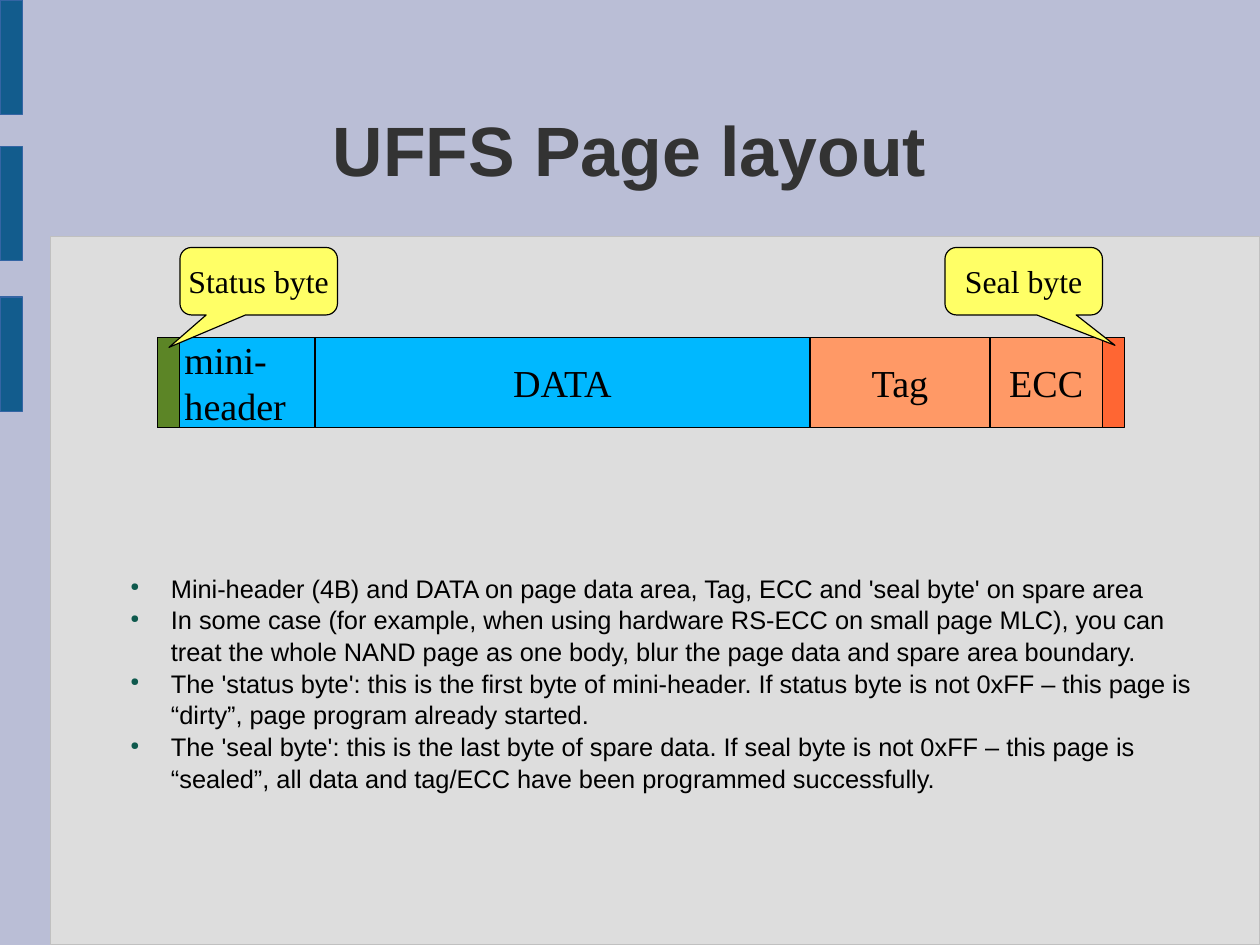
from lxml import etree
from pptx import Presentation
from pptx.dml.color import RGBColor
from pptx.enum import shapes, text
from pptx.oxml import ns
from pptx.util import Cm, Pt

LAVENDER = RGBColor(0xBA, 0xBE, 0xD6)
PANEL = RGBColor(0xDD, 0xDD, 0xDD)
PANEL_EDGE = RGBColor(0xC0, 0xC0, 0xC0)
BAR = RGBColor(0x12, 0x5C, 0x8D)
BAR_EDGE = RGBColor(0x34, 0x65, 0xA4)
BLACK = RGBColor(0, 0, 0)
CHARCOAL = RGBColor(0x33, 0x33, 0x33)
BULLET = RGBColor(0x0E, 0x59, 0x4D)
BLUE = RGBColor(0x00, 0xB8, 0xFF)
ORANGE = RGBColor(0xFF, 0x99, 0x66)
DEEP_ORANGE = RGBColor(0xFF, 0x66, 0x33)
GREEN = RGBColor(0x5C, 0x85, 0x26)
YELLOW = RGBColor(0xFF, 0xFF, 0x66)

RECT = shapes.MSO_SHAPE.RECTANGLE
CALLOUT = shapes.MSO_SHAPE.ROUNDED_RECTANGULAR_CALLOUT
LEFT, CENTER = text.PP_ALIGN.LEFT, text.PP_ALIGN.CENTER
TOP, MIDDLE = text.MSO_ANCHOR.TOP, text.MSO_ANCHOR.MIDDLE

TITLE_FONT = {"name": "Arial", "size": Pt(44), "bold": True, "color": CHARCOAL}
BODY_FONT = {"name": "Arial", "size": Pt(16), "color": BLACK}
FIELD_FONT = {"name": "Times New Roman", "size": Pt(24), "color": BLACK}
CALLOUT_FONT = {"name": "Times New Roman", "size": Pt(20), "color": BLACK}

# left, width, fill, lines of text, alignment, left inset (cm)
FIELDS = [
    (3.5, 3.5, BLUE, ["mini-", "header"], LEFT, 0.6),
    (7, 11, BLUE, ["DATA"], CENTER, 0),
    (18, 4, ORANGE, ["Tag"], CENTER, 0),
    (22, 2.5, ORANGE, ["ECC"], CENTER, 0),
    (24.5, 0.5, DEEP_ORANGE, [], CENTER, 0),
    (3.5, 0.5, GREEN, [], CENTER, 0),
]
CALLOUTS = [
    (4, "Status byte", (-0.57, 0.98, 0.17)),
    (21, "Seal byte", (0.58, 0.95, 0.17)),
]
NOTES = [
    "Mini-header (4B) and DATA on page data area, Tag, ECC and 'seal byte' on spare area",
    "In some case (for example, when using hardware RS-ECC on small page MLC), you can "
    "treat the whole NAND page as one body, blur the page data and spare area boundary.",
    "The 'status byte': this is the first byte of mini-header. If status byte is not "
    "0xFF – this page is “dirty”, page program already started.",
    "The 'seal byte': this is the last byte of spare data. If seal byte is not 0xFF – "
    "this page is “sealed”, all data and tag/ECC have been programmed successfully.",
]


class PageSlide:
    def __init__(self, prs):
        self.s = prs.slides.add_slide(prs.slide_layouts[5])
        fill = self.s.background.fill
        fill.solid()
        fill.fore_color.rgb = LAVENDER

    def set_text(self, sp, lines, font, align=CENTER, anchor=MIDDLE, inset=0,
                 wrap=True, bullets=False):
        tf = sp.text_frame
        frame = {"word_wrap": wrap, "vertical_anchor": anchor,
                 "auto_size": text.MSO_AUTO_SIZE.NONE, "margin_left": Cm(inset),
                 "margin_right": 0, "margin_top": 0, "margin_bottom": 0}
        for key, value in frame.items():
            setattr(tf, key, value)
        for i, line in enumerate(lines):
            p = tf.add_paragraph() if i else tf.paragraphs[0]
            if bullets:
                self.add_bullet(p)
                p.line_spacing = 1.04
            p.alignment = align
            r = p.add_run()
            r.text = line
            for key, value in font.items():
                if key == "color":
                    r.font.color.rgb = value
                else:
                    setattr(r.font, key, value)

    def add_bullet(self, p):
        pPr = p._p.get_or_add_pPr()
        pPr.set("marL", str(Cm(1.2)))
        pPr.set("indent", str(Cm(-0.9)))
        color = etree.SubElement(pPr, ns.qn("a:buClr"))
        etree.SubElement(color, ns.qn("a:srgbClr"), val=str(BULLET))
        etree.SubElement(pPr, ns.qn("a:buSzPct"), val="45000")
        etree.SubElement(pPr, ns.qn("a:buChar"), char="●")

    def title(self, line, left, top, width, height):
        sp = self.s.shapes.title
        box = {"left": left, "top": top, "width": width, "height": height}
        for key, value in box.items():
            setattr(sp, key, Cm(value))
        self.set_text(sp, [line], TITLE_FONT)

    def shape(self, kind, left, top, width, height, fill, edge=BLACK):
        sp = self.s.shapes.add_shape(kind, Cm(left), Cm(top), Cm(width), Cm(height))
        sp.shadow.inherit = False
        sp.fill.solid()
        sp.fill.fore_color.rgb = fill
        sp.line.color.rgb = edge
        sp.line.width = Pt(0)
        return sp

    def callout(self, left, line, adjustments):
        sp = self.shape(CALLOUT, left, 5.5, 3.5, 1.5, YELLOW)
        for i, value in enumerate(adjustments):
            sp.adjustments[i] = value
        self.set_text(sp, [line], CALLOUT_FONT, wrap=False)

    def bullet_list(self, lines, left, top, width, height):
        sp = self.s.shapes.add_textbox(Cm(left), Cm(top), Cm(width), Cm(height))
        self.set_text(sp, lines, BODY_FONT, LEFT, TOP, bullets=True)


def main():
    prs = Presentation()
    prs.slide_width, prs.slide_height = Cm(28), Cm(21)
    page = PageSlide(prs)
    page.shape(RECT, 1.12, 5.26, 26.88, 15.74, PANEL, PANEL_EDGE)
    for top in (0, 3.25, 6.6):
        page.shape(RECT, 0, top, 0.5, 2.54, BAR, BAR_EDGE)
    page.title("UFFS Page layout", 2.05, 1.55, 23.9, 3.5)
    page.bullet_list(NOTES, 2.6, 12.7, 23.9, 4.42)
    for left, width, fill, lines, align, inset in FIELDS:
        sp = page.shape(RECT, left, 7.5, width, 2, fill)
        page.set_text(sp, lines, FIELD_FONT, align, inset=inset)
    for left, line, adjustments in CALLOUTS:
        page.callout(left, line, adjustments)
    prs.save("out.pptx")


if __name__ == "__main__":
    main()
